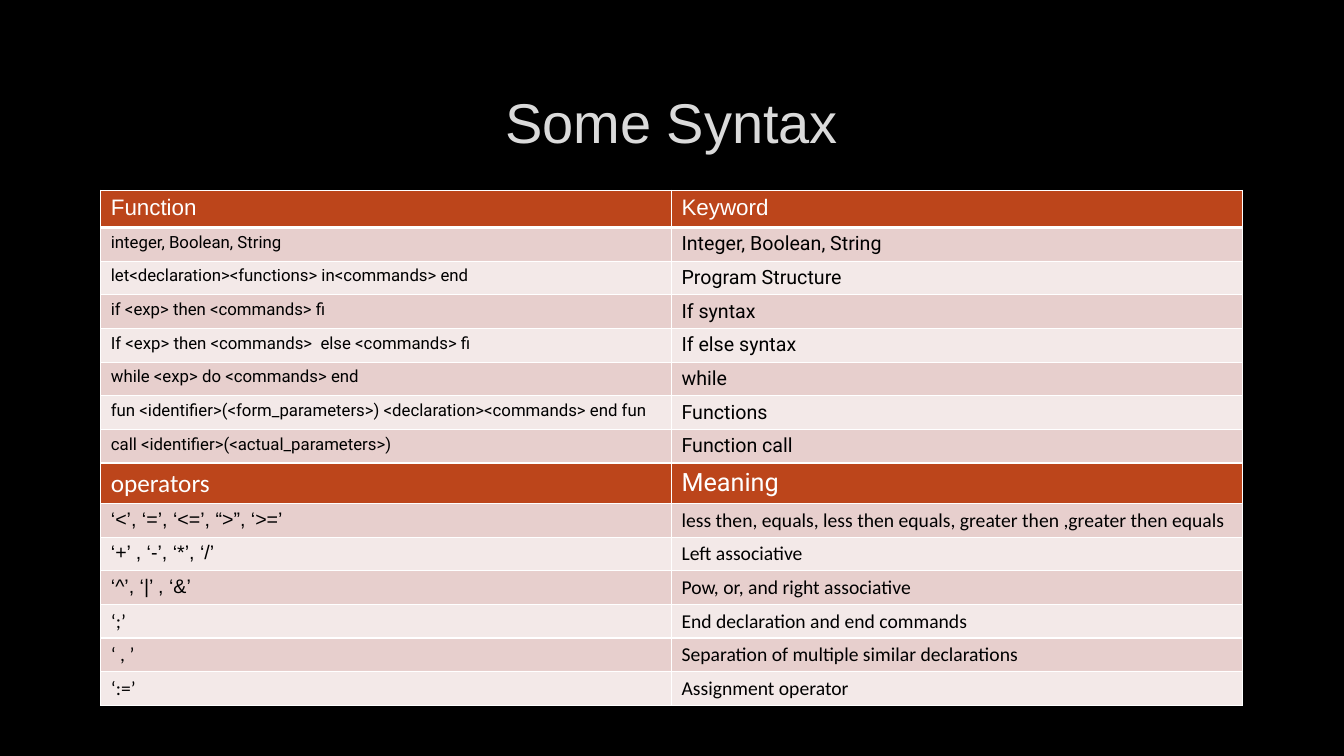
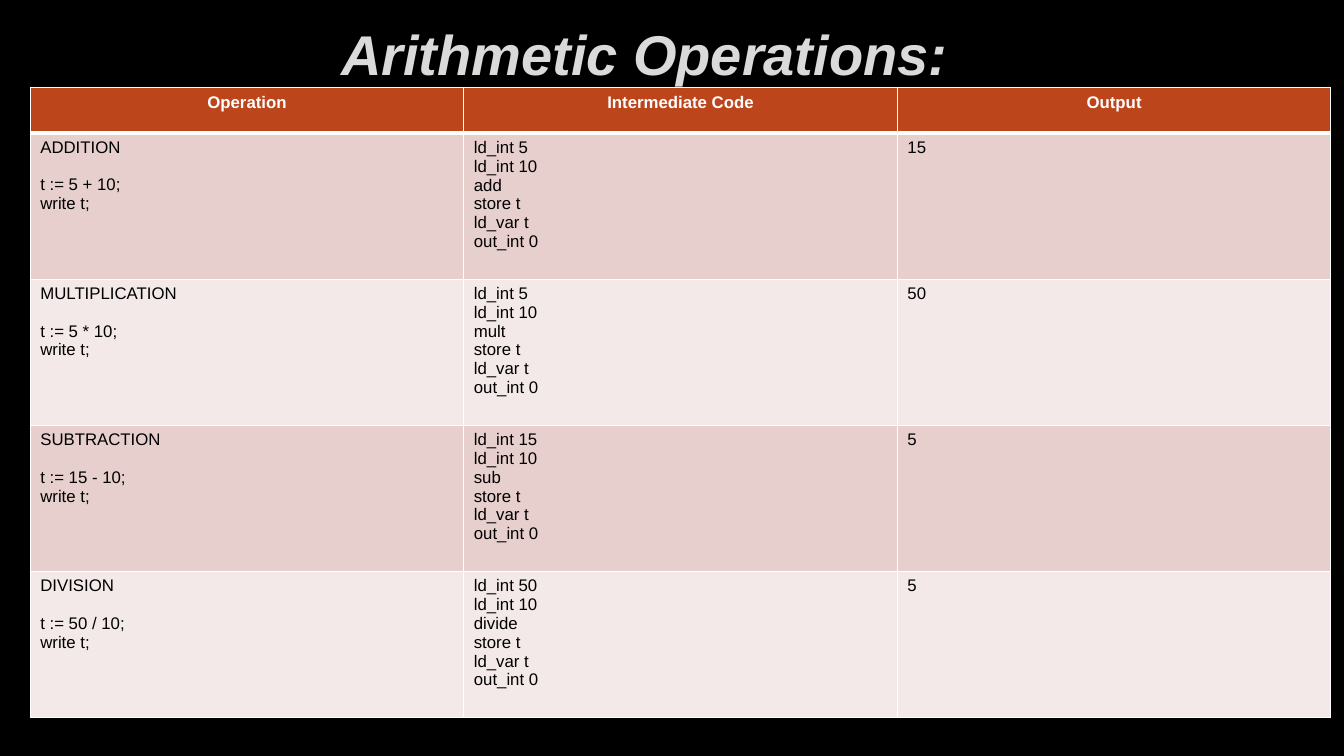
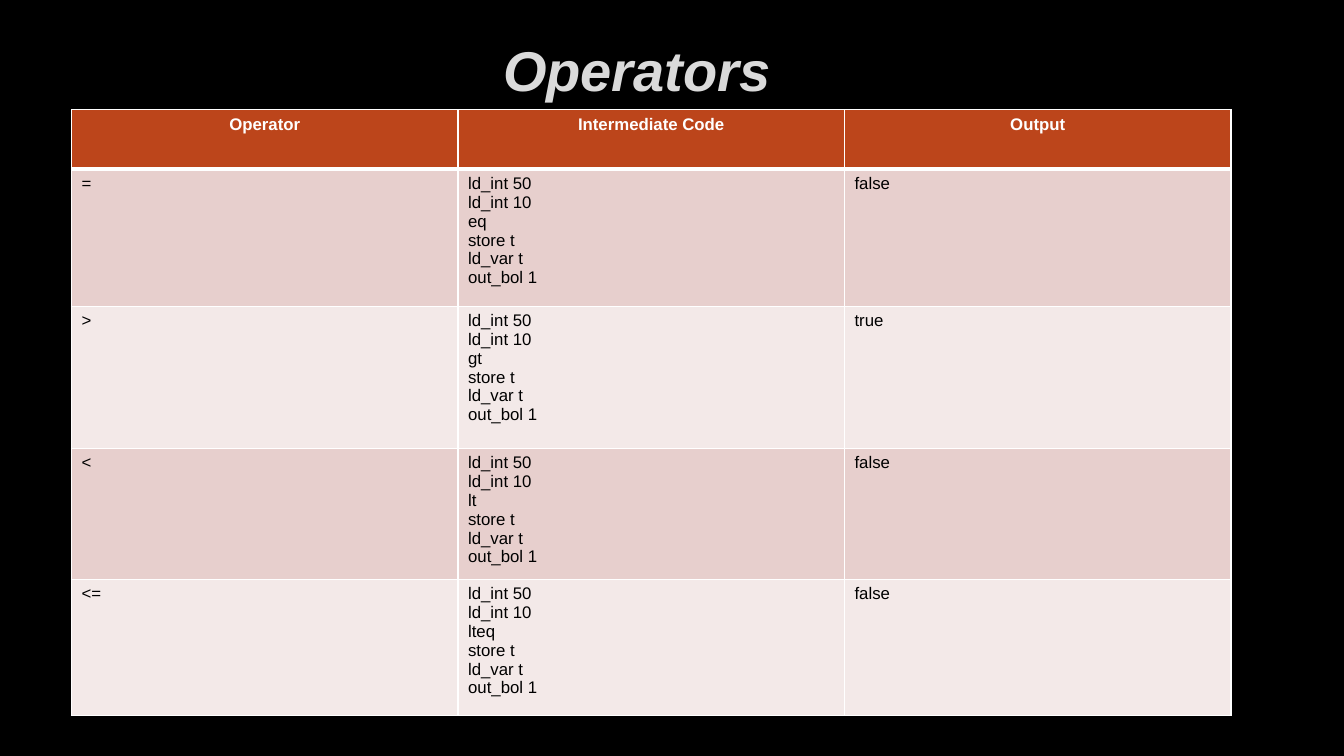
from lxml import etree
from pptx import Presentation
from pptx.dml.color import RGBColor
from pptx.enum import text as text_enum
from pptx.oxml import ns
from pptx.util import Inches, Pt

BLACK = RGBColor(0x00, 0x00, 0x00)
WHITE = RGBColor(0xFF, 0xFF, 0xFF)
TITLE_GREY = RGBColor(0xDA, 0xDA, 0xDA)
RUST = RGBColor(0xBC, 0x45, 0x1B)
BANDS = (RGBColor(0xE7, 0xCF, 0xCD), RGBColor(0xF3, 0xE9, 0xE8))
LEFT, CENTER = text_enum.PP_ALIGN.LEFT, text_enum.PP_ALIGN.CENTER
BLANK_LINE = 13.4

KEYWORDS = [
    ("integer, Boolean, String", "Integer, Boolean, String"),
    ("let<declaration><functions> in<commands> end", "Program Structure"),
    ("if <exp> then <commands> fi", "If syntax"),
    ("If <exp> then <commands>  else <commands> fi", "If else syntax"),
    ("while <exp> do <commands> end", "while"),
    ("fun <identifier>(<form_parameters>) <declaration><commands> end fun", "Functions"),
    ("call <identifier>(<actual_parameters>)", "Function call"),
]
SYMBOLS = [
    ("‘<’, ‘=’, ‘<=’, “>”, ‘>=’", "Arial",
     "less then, equals, less then equals, greater then ,greater then equals"),
    ("‘+’ , ‘-’, ‘*’, ‘/’", "Arial", "Left associative"),
    ("‘^’, ‘|’ , ‘&’", "Arial", "Pow, or, and right associative"),
    ("‘;’", "Calibri", "End declaration and end commands"),
    ("‘ , ’", "Calibri", "Separation of multiple similar declarations"),
    ("‘:=’", "Calibri", "Assignment operator"),
]
ARITHMETIC = [
    ("ADDITION", 5, "+", 10, "add", "15"),
    ("MULTIPLICATION", 5, "*", 10, "mult", "50"),
    ("SUBTRACTION", 15, "-", 10, "sub", "5"),
    ("DIVISION", 50, "/", 10, "divide", "5"),
]
COMPARISONS = [
    ("=", "eq", "false"),
    (">", "gt", "true"),
    ("<", "lt", "false"),
    ("<=", "lteq", "false"),
]


def write_text(frame, lines, size=12, font="Arial", color=BLACK, bold=False,
               italic=False, align=LEFT, first_gap=0):
    for index, line in enumerate(lines):
        paragraph = frame.paragraphs[0] if index == 0 else frame.add_paragraph()
        paragraph.alignment = align
        if index == 0 and first_gap:
            paragraph.space_after = Pt(first_gap)
        run = paragraph.add_run()
        run.text = line
        run.font.size = Pt(size)
        run.font.name = font
        run.font.color.rgb = color
        run.font.bold = bold
        run.font.italic = italic


def set_borders(cell, top=1, bottom=1):
    properties = cell._tc.get_or_add_tcPr()
    for side, width in (("L", 1), ("R", 1), ("T", top), ("B", bottom)):
        line = etree.SubElement(properties, ns.qn("a:ln" + side), w=str(Pt(width)))
        fill = etree.SubElement(line, ns.qn("a:solidFill"))
        etree.SubElement(fill, ns.qn("a:srgbClr"), val=str(WHITE))


def body(*lines, **style):
    return lines, style


def header(*labels, **style):
    return [body(label, color=WHITE, **style) for label in labels]


def add_title(slide, box, title, emphasis=False):
    frame = slide.shapes.add_textbox(*map(Inches, box)).text_frame
    frame.word_wrap = True
    frame.vertical_anchor = text_enum.MSO_ANCHOR.MIDDLE
    write_text(frame, [title], size=40, color=TITLE_GREY, bold=emphasis,
               italic=emphasis, align=CENTER)


def add_grid(slide, box, rows, heights, header_rows=(0,)):
    table = slide.shapes.add_table(len(rows), len(rows[0]), *map(Inches, box)).table
    for row, height in zip(table.rows, heights):
        row.height = Inches(height)
    band = 0
    for row_index, row in enumerate(rows):
        if row_index in header_rows:
            color, band = RUST, 0
        else:
            color, band = BANDS[band], 1 - band
        for column_index, (lines, style) in enumerate(row):
            cell = table.cell(row_index, column_index)
            set_borders(cell, top=3 if row_index == 1 else 1,
                        bottom=3 if row_index == 0 else 1)
            cell.fill.solid()
            cell.fill.fore_color.rgb = color
            write_text(cell.text_frame, lines, **style)


def new_slide(presentation):
    slide = presentation.slides.add_slide(presentation.slide_layouts[6])
    slide.background.fill.solid()
    slide.background.fill.fore_color.rgb = BLACK
    return slide


def stack_code(first, second, operation, output):
    return body(f"ld_int {first}", f"ld_int {second}", operation,
                "store t", "ld_var t", output)


def syntax_slide(presentation):
    slide = new_slide(presentation)
    add_title(slide, (1, 0.67, 11.32, 1.06), "Some Syntax")
    rows = [header("Function", "Keyword", size=16)]
    rows += [[body(code, font="Roboto"), body(meaning, font="Roboto", size=14)]
             for code, meaning in KEYWORDS]
    second_header = len(rows)
    rows.append(header("operators", size=18, font="Calibri")
                + header("Meaning", size=18, font="Roboto"))
    rows += [[body(symbol, font=font, size=14), body(meaning, font="Calibri", size=14)]
             for symbol, font, meaning in SYMBOLS]
    add_grid(slide, (1, 1.89, 11.32, 5.1), rows, [0.26] * len(rows), (0, second_header))


def arithmetic_slide(presentation):
    slide = new_slide(presentation)
    add_title(slide, (0.3, -0.19, 12.18, 1.43), "Arithmetic Operations:", emphasis=True)
    rows = [header("Operation", "Intermediate Code", "Output", bold=True, align=CENTER)]
    rows += [[body(name, f"t := {first} {sign} {second};", "write t;", first_gap=BLANK_LINE),
              stack_code(first, second, operation, "out_int 0"), body(result)]
             for name, first, sign, second, operation, result in ARITHMETIC]
    add_grid(slide, (0.3, 0.87, 12.9, 6.25), rows, [0.45] + [1.45] * 4)


def operators_slide(presentation):
    slide = new_slide(presentation)
    add_title(slide, (0.17, 0, 12.29, 1.38), "Operators", emphasis=True)
    rows = [header("Operator", "Intermediate Code", "Output", bold=True, align=CENTER)]
    rows += [[body(sign), stack_code(50, 10, operation, "out_bol 1"), body(result)]
             for sign, operation, result in COMPARISONS]
    add_grid(slide, (0.71, 1.09, 11.5, 6.01), rows, [0.59, 1.36, 1.41, 1.3, 1.35])


def main():
    presentation = Presentation()
    presentation.slide_width = Inches(13.33)
    presentation.slide_height = Inches(7.5)
    syntax_slide(presentation)
    arithmetic_slide(presentation)
    operators_slide(presentation)
    presentation.save("out.pptx")


if __name__ == "__main__":
    main()
